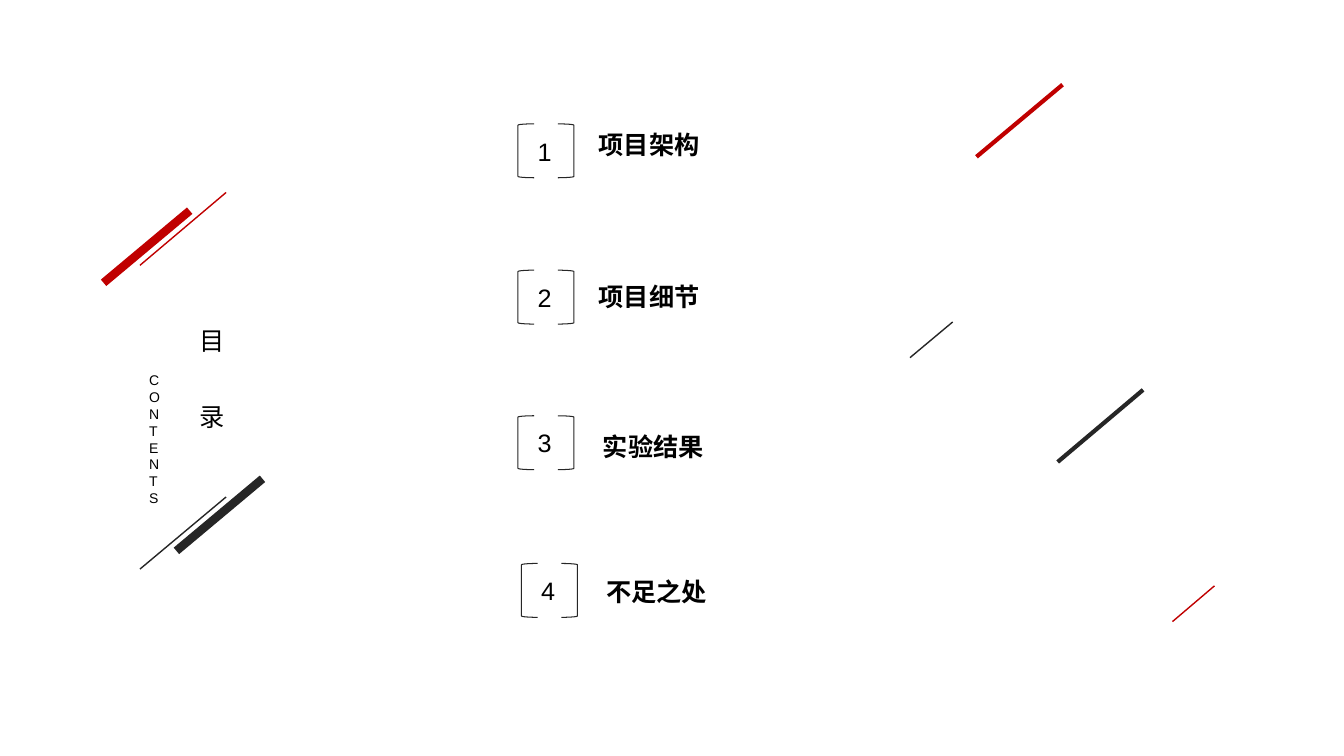
"""Build a contents slide with four bracketed entries and slanted accent lines."""
from pptx import Presentation
from pptx import util as u
from pptx.dml import color
from pptx.enum import shapes, text
from pptx.oxml import ns, xmlchemy

RED, DARK, BLACK = "C00000", "262626", "000000"


def paint(fmt, code):
    fmt.rgb = color.RGBColor.from_string(code)


def write(home, box, words, size=18, bold=False, wrap=False, space=None):
    frame = home.add_textbox(*map(u.Pt, box)).text_frame
    frame.text = words
    frame.word_wrap = wrap
    frame.auto_size = text.MSO_AUTO_SIZE.SHAPE_TO_FIT_TEXT
    for para in frame.paragraphs:
        para.font.name = "Arial"
        para.font.size = u.Pt(size)
        para.font.bold = bold
        para.line_spacing = space
        paint(para.font.color, BLACK)


deck = Presentation()
deck.slide_width, deck.slide_height = u.Pt(960), u.Pt(540)
slide = deck.slides.add_slide(deck.slide_layouts[6])
page = slide.shapes

upper = page.add_group_shape().shapes
lower = page.add_group_shape().shapes
lines = [
    (upper, 135.5, 150.5, 74, 202, RED, 6),
    (upper, 161.5, 137.5, 100, 189.5, RED, 1),
    (lower, 126, 393.5, 187.5, 342, DARK, 6),
    (lower, 100, 406.5, 161.5, 355, DARK, 1),
    (page, 759, 60.5, 697.5, 112, RED, 3),
    (page, 680.5, 230, 650, 255.5, DARK, 1),
    (page, 867.5, 418.5, 837.5, 444, RED, 1),
    (page, 816.5, 278.5, 755.5, 330, DARK, 3),
]
for home, *ends, hue, width in lines:
    line = home.add_connector(shapes.MSO_CONNECTOR.STRAIGHT, *map(u.Pt, ends))
    paint(line.line.color, hue)
    line.line.width = u.Pt(width)
    line._element.spPr.append(xmlchemy.OxmlElement("a:effectLst"))

write(page, (135.5, 196.5, 32.5, 116.5), "目\n录", space=2.5)
write(page, (99.5, 262, 18, 104.5), "CONTENTS", size=10, wrap=True)

items = [
    ("项目架构", 370, 88.5, 420.5, 88.5),
    ("项目细节", 370, 193, 420.5, 197.5),
    ("实验结果", 370, 297, 423.5, 304.5),
    ("不足之处", 372.5, 402.5, 426, 408),
]
sides = [
    (shapes.MSO_SHAPE.LEFT_BRACKET, 0),
    (shapes.MSO_SHAPE.RIGHT_BRACKET, 28.5),
]
for num, (label, left, top, x, y) in enumerate(items, 1):
    entry = page.add_group_shape().shapes
    write(entry, (left + 7, top + 5, 24.5, 29), str(num))
    for kind, shift in sides:
        mark = entry.add_shape(
            kind, u.Pt(left + shift), u.Pt(top), u.Pt(11.5), u.Pt(38.5))
        mark.shadow.inherit = False
        mark.fill.background()
        mark.line.width = u.Pt(0.75)
        paint(mark.line.color, DARK)
    write(entry, (x, y, 87, 29), label, bold=True)

deck.save("out.pptx")
